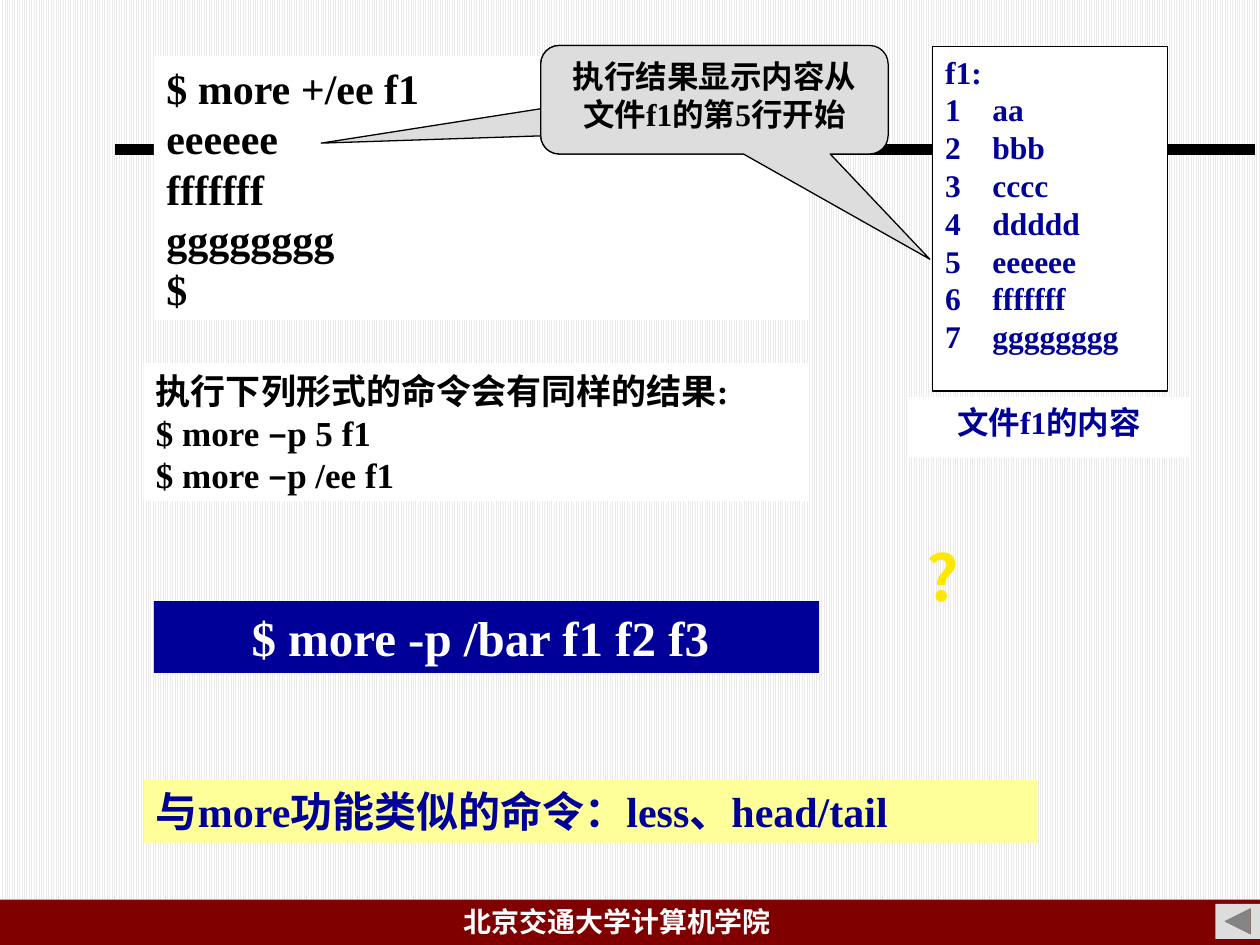
"""Build a slide on the more command: start pattern, equivalent forms and related commands."""
from pptx import Presentation
from pptx.dml.color import RGBColor as RGB
from pptx.enum.dml import MSO_PATTERN
from pptx.enum.shapes import MSO_CONNECTOR, MSO_SHAPE as SHAPE
from pptx.enum.text import MSO_ANCHOR, PP_ALIGN as ALIGN
from pptx.oxml.ns import qn
from pptx.util import Pt
from lxml import etree

THEME = {
    "black": RGB.from_string("000000"),
    "white": RGB.from_string("FFFFFF"),
    "navy": RGB.from_string("000099"),
    "maroon": RGB.from_string("800000"),
    "gray": RGB.from_string("DDDDDD"),
    "stripe": RGB.from_string("EAEAEA"),
    "cream": RGB.from_string("FFFF99"),
    "yellow": RGB.from_string("FFE701"),
    "latin": "Times New Roman",
    "cjk": "Noto Sans CJK SC",
    "footer": 16, "label": 18, "note": 20, "body": 24, "command": 28, "mark": 36,
}


def add_box(at, fill=None, outlined=False, kind=SHAPE.RECTANGLE, adj=()):
    sp = s.shapes.add_shape(kind, *map(Pt, at))
    sp.shadow.inherit = False
    for i, value in enumerate(adj):
        sp.adjustments[i] = value
    if fill:
        sp.fill.solid()
        sp.fill.fore_color.rgb = THEME[fill]
    else:
        sp.fill.background()
    if outlined:
        sp.line.color.rgb = THEME["black"]
        sp.line.width = Pt(0.75)
    else:
        sp.line.fill.background()
    return sp


def write(sp, lines, size, color, align=ALIGN.LEFT, font="latin", tab=None):
    tf = sp.text_frame
    tf.word_wrap = True
    tf.vertical_anchor = MSO_ANCHOR.TOP
    for i, line in enumerate(lines):
        p = tf.add_paragraph() if i else tf.paragraphs[0]
        p.alignment = align
        p.line_spacing = Pt(1.2 * THEME[size])
        if tab:
            tabs = etree.SubElement(p._p.get_or_add_pPr(), qn("a:tabLst"))
            etree.SubElement(tabs, qn("a:tab"), pos=str(Pt(tab)), algn="l")
        for part in filter(None, line.partition("–")):
            r = p.add_run()
            r.text = part
            r.font.size = Pt(THEME[size])
            r.font.bold = True
            r.font.color.rgb = THEME[color]
            r.font.name = THEME["cjk" if part == "–" else font]
            etree.SubElement(r.font._element, qn("a:ea"), typeface=THEME["cjk"])


prs = Presentation()
prs.slide_width, prs.slide_height = Pt(720), Pt(540)
s = prs.slides.add_slide(prs.slide_layouts[6])
bg = s.background.fill
bg.patterned()
bg.pattern = MSO_PATTERN.LIGHT_VERTICAL
bg.fore_color.rgb = THEME["stripe"]
bg.back_color.rgb = THEME["white"]

add_box((0, 514, 720, 26), "maroon")
rule = s.shapes.add_connector(MSO_CONNECTOR.STRAIGHT, Pt(66), Pt(85.5), Pt(717), Pt(85.5))
rule.line.color.rgb = THEME["black"]
rule.line.width = Pt(6)
etree.SubElement(rule._element.spPr, qn("a:effectLst"))
footer = s.shapes.add_textbox(Pt(258), Pt(513.5), Pt(239), Pt(26.5))
write(footer, ["北京交通大学计算机学院"], "footer", "white")

rows = ["aa", "bbb", "cccc", "ddddd", "eeeeee", "fffffff", "gggggggg"]
listing = add_box((533, 26.5, 134, 197), "white", outlined=True)
write(listing, ["f1:"] + [f"{n}\t{row}" for n, row in enumerate(rows, 1)],
      "label", "navy", tab=27)
caption = add_box((519, 227, 161, 34.5), "white")
write(caption, ["文件f1的内容"], "label", "navy", ALIGN.CENTER)

result = add_box((88, 32, 374, 151), "white")
write(result, ["$ more +/ee f1", *rows[4:], "$"], "body", "black")

callout = SHAPE.ROUNDED_RECTANGULAR_CALLOUT
add_box((309, 26, 193, 62), "gray", True, callout, (-1.15, 0.4, 0.17))
note = add_box((309, 26, 198.5, 62), "gray", True, callout, (0.62, 1.47, 0.17))
write(note, ["执行结果显示内容从文件f1的第5行开始"], "label", "black", ALIGN.CENTER)

same = add_box((82, 207.5, 380, 79), "white")
write(same, ["执行下列形式的命令会有同样的结果:", "$ more –p 5 f1", "$ more –p /ee f1"],
      "note", "black")

command = add_box((88, 343.5, 380, 41), "navy")
write(command, ["$ more -p /bar f1 f2 f3 "], "command", "white", ALIGN.CENTER)

mark = s.shapes.add_textbox(Pt(507.5), Pt(304), Pt(62.5), Pt(158))
write(mark, ["?"], "mark", "yellow", ALIGN.CENTER, font="cjk")

add_box((694.5, 516.5, 25.5, 20), "gray", kind=SHAPE.ACTION_BUTTON_BACK_OR_PREVIOUS)

related = add_box((82, 445.5, 510.5, 36), "cream")
write(related, ["与more功能类似的命令：less、head/tail"], "body", "navy")

prs.save("out.pptx")
